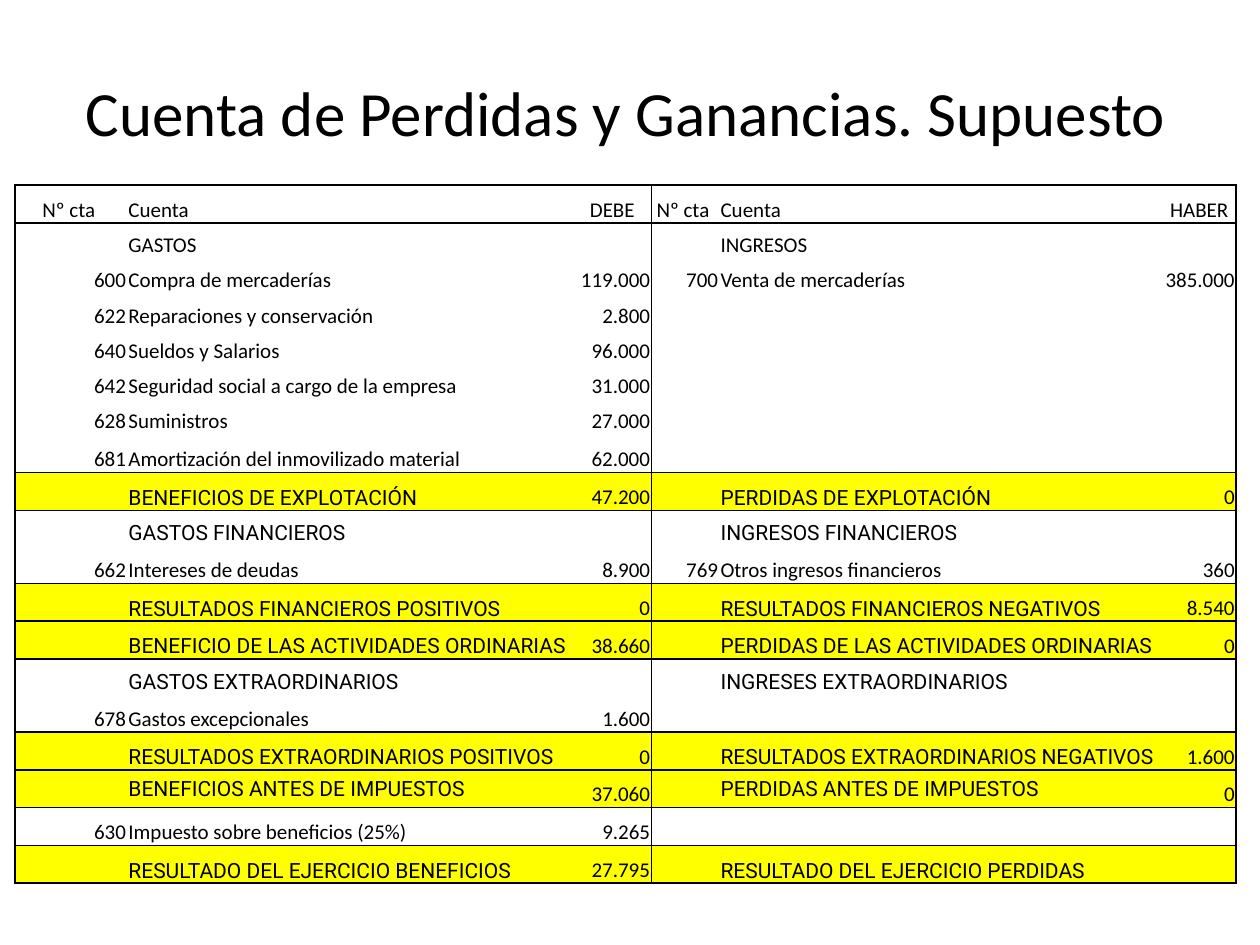
from dataclasses import dataclass
from enum import Enum

from lxml import etree
from pptx import Presentation
from pptx import util as u
from pptx.dml.color import RGBColor
from pptx.enum import text
from pptx.oxml import ns
from pptx.table import Table, _Cell


@dataclass(frozen=True)
class Theme:
    ink: RGBColor = RGBColor(0, 0, 0)
    highlight: RGBColor = RGBColor(255, 255, 0)
    body_font: str = "Calibri"
    total_font: str = "Roboto"
    title_size: u.Pt = u.Pt(36)
    table_size: u.Pt = u.Pt(12)
    rule_width: u.Pt = u.Pt(1)


@dataclass(frozen=True)
class RowStyle:
    height: float
    edges: str = ""
    filled: bool = False
    font: str = Theme.body_font


class Kind(Enum):
    HEADER = RowStyle(0.3, "TB")
    GROUP = RowStyle(0.28, "T")
    SUBGROUP = RowStyle(0.28, "T", font=Theme.total_font)
    ENTRY = RowStyle(0.28)
    LAST_ENTRY = RowStyle(0.3, "B")
    TOTAL = RowStyle(0.3, "TB", True, Theme.total_font)
    TAX = RowStyle(0.3, "TB ")


@dataclass(frozen=True)
class Side:
    number: str = ""
    account: str = ""
    amount: str = ""


@dataclass(frozen=True)
class LedgerRow:
    kind: Kind
    debit: Side
    credit: Side = Side()
    account_anchor: text.MSO_ANCHOR = text.MSO_ANCHOR.BOTTOM


THEME = Theme()
TITLE = "Cuenta de Perdidas y Ganancias. Supuesto"
LEFT, WIDTH = 0.12, 9.69
TITLE_TOP, TITLE_HEIGHT = 0.3, 1.17
COLUMNS = (0.89, 3.54, 0.62, 0.54, 3.48, 0.62)
ALIGNMENTS = (text.PP_ALIGN.RIGHT, text.PP_ALIGN.LEFT, text.PP_ALIGN.RIGHT)
HEADER_ALIGNMENTS = (text.PP_ALIGN.CENTER, text.PP_ALIGN.LEFT, text.PP_ALIGN.CENTER)

LEDGER = (
    LedgerRow(Kind.HEADER, Side("Nº cta ", "Cuenta", "DEBE"), Side("Nº cta ", "Cuenta", " HABER")),
    LedgerRow(Kind.GROUP, Side(account="GASTOS"), Side(account="INGRESOS")),
    LedgerRow(Kind.ENTRY, Side("600", "Compra de mercaderías", "119.000"),
              Side("700", "Venta de mercaderías", "385.000")),
    LedgerRow(Kind.ENTRY, Side("622", "Reparaciones y conservación", "2.800")),
    LedgerRow(Kind.ENTRY, Side("640", "Sueldos y Salarios", "96.000")),
    LedgerRow(Kind.ENTRY, Side("642", "Seguridad social a cargo de la empresa", "31.000")),
    LedgerRow(Kind.ENTRY, Side("628", "Suministros", "27.000")),
    LedgerRow(Kind.LAST_ENTRY, Side("681", "Amortización del inmovilizado material", "62.000")),
    LedgerRow(Kind.TOTAL, Side("", "BENEFICIOS DE EXPLOTACIÓN", "47.200"),
              Side("", "PERDIDAS DE EXPLOTACIÓN", "0")),
    LedgerRow(Kind.SUBGROUP, Side(account="GASTOS FINANCIEROS"), Side(account="INGRESOS FINANCIEROS")),
    LedgerRow(Kind.LAST_ENTRY, Side("662", "Intereses de deudas", "8.900"),
              Side("769", "Otros ingresos financieros", "360")),
    LedgerRow(Kind.TOTAL, Side("", "RESULTADOS FINANCIEROS POSITIVOS", "0"),
              Side("", "RESULTADOS FINANCIEROS NEGATIVOS", "8.540")),
    LedgerRow(Kind.TOTAL, Side("", "BENEFICIO DE LAS ACTIVIDADES ORDINARIAS", "38.660"),
              Side("", "PERDIDAS DE LAS ACTIVIDADES ORDINARIAS", "0")),
    LedgerRow(Kind.SUBGROUP, Side(account="GASTOS EXTRAORDINARIOS"),
              Side(account="INGRESES EXTRAORDINARIOS")),
    LedgerRow(Kind.LAST_ENTRY, Side("678", "Gastos excepcionales", "1.600")),
    LedgerRow(Kind.TOTAL, Side("", "RESULTADOS EXTRAORDINARIOS POSITIVOS", "0"),
              Side("", "RESULTADOS EXTRAORDINARIOS NEGATIVOS", "1.600")),
    LedgerRow(Kind.TOTAL, Side("", "BENEFICIOS ANTES DE IMPUESTOS", "37.060"),
              Side("", "PERDIDAS ANTES DE IMPUESTOS", "0"), text.MSO_ANCHOR.MIDDLE),
    LedgerRow(Kind.TAX, Side("630", "Impuesto sobre beneficios (25%)", "9.265")),
    LedgerRow(Kind.TOTAL, Side("", "RESULTADO DEL EJERCICIO BENEFICIOS", "27.795"),
              Side("", "RESULTADO DEL EJERCICIO PERDIDAS")),
)


def set_borders(cell: _Cell, edges: str) -> None:
    properties = cell._tc.get_or_add_tcPr()
    for position, edge in enumerate("LRTB"):
        line = etree.Element(ns.qn(f"a:ln{edge}"), w=str(THEME.rule_width))
        if edge in edges:
            fill = etree.SubElement(line, ns.qn("a:solidFill"))
            etree.SubElement(fill, ns.qn("a:srgbClr"), val=str(THEME.ink))
        else:
            etree.SubElement(line, ns.qn("a:noFill"))
        properties.insert(position, line)


def write_cell(cell: _Cell, content: str, font_name: str, alignment: text.PP_ALIGN,
               anchor: text.MSO_ANCHOR) -> None:
    cell.margin_left = cell.margin_right = cell.margin_top = u.Inches(0.01)
    cell.margin_bottom = 0
    cell.vertical_anchor = anchor
    paragraph = cell.text_frame.paragraphs[0]
    paragraph.alignment = alignment
    paragraph.font.name = font_name
    paragraph.font.size = THEME.table_size
    paragraph.font.color.rgb = THEME.ink
    if content:
        paragraph.text = content
    else:
        paragraph._p.get_or_add_endParaRPr().set("sz", str(int(THEME.table_size.pt * 100)))


def draw_row(table: Table, index: int, row: LedgerRow) -> None:
    style = row.kind.value
    table.rows[index].height = u.Inches(style.height)
    alignments = HEADER_ALIGNMENTS if row.kind is Kind.HEADER else ALIGNMENTS
    for side_index, side in enumerate((row.debit, row.credit)):
        for field, content in enumerate((side.number, side.account, side.amount)):
            cell = table.cell(index, side_index * 3 + field)
            is_account = field == 1
            write_cell(cell, content, style.font if is_account else THEME.body_font,
                       alignments[field],
                       row.account_anchor if is_account else text.MSO_ANCHOR.BOTTOM)
            if style.filled:
                cell.fill.solid()
                cell.fill.fore_color.rgb = THEME.highlight
            else:
                cell.fill.background()
            set_borders(cell, style.edges + ("L", "", "R")[field])


def main() -> None:
    presentation = Presentation()
    presentation.slide_width, presentation.slide_height = u.Inches(10), u.Inches(7.5)
    slide = presentation.slides.add_slide(presentation.slide_layouts[5])

    title = slide.shapes.title
    title.left, title.top = u.Inches(LEFT), u.Inches(TITLE_TOP)
    title.width, title.height = u.Inches(WIDTH), u.Inches(TITLE_HEIGHT)
    title.text_frame.text = TITLE
    title.text_frame.vertical_anchor = text.MSO_ANCHOR.MIDDLE
    paragraph = title.text_frame.paragraphs[0]
    paragraph.alignment = text.PP_ALIGN.CENTER
    paragraph.font.name = THEME.body_font
    paragraph.font.size = THEME.title_size
    paragraph.font.color.rgb = THEME.ink

    table_height = sum(row.kind.value.height for row in LEDGER)
    table = slide.shapes.add_table(
        len(LEDGER), len(COLUMNS), u.Inches(LEFT), u.Inches(TITLE_TOP + TITLE_HEIGHT),
        u.Inches(WIDTH), u.Inches(table_height)).table
    table.first_row = table.horz_banding = False
    for column, width in zip(table.columns, COLUMNS):
        column.width = u.Inches(width)
    for index, row in enumerate(LEDGER):
        draw_row(table, index, row)

    presentation.save("out.pptx")


if __name__ == "__main__":
    main()
